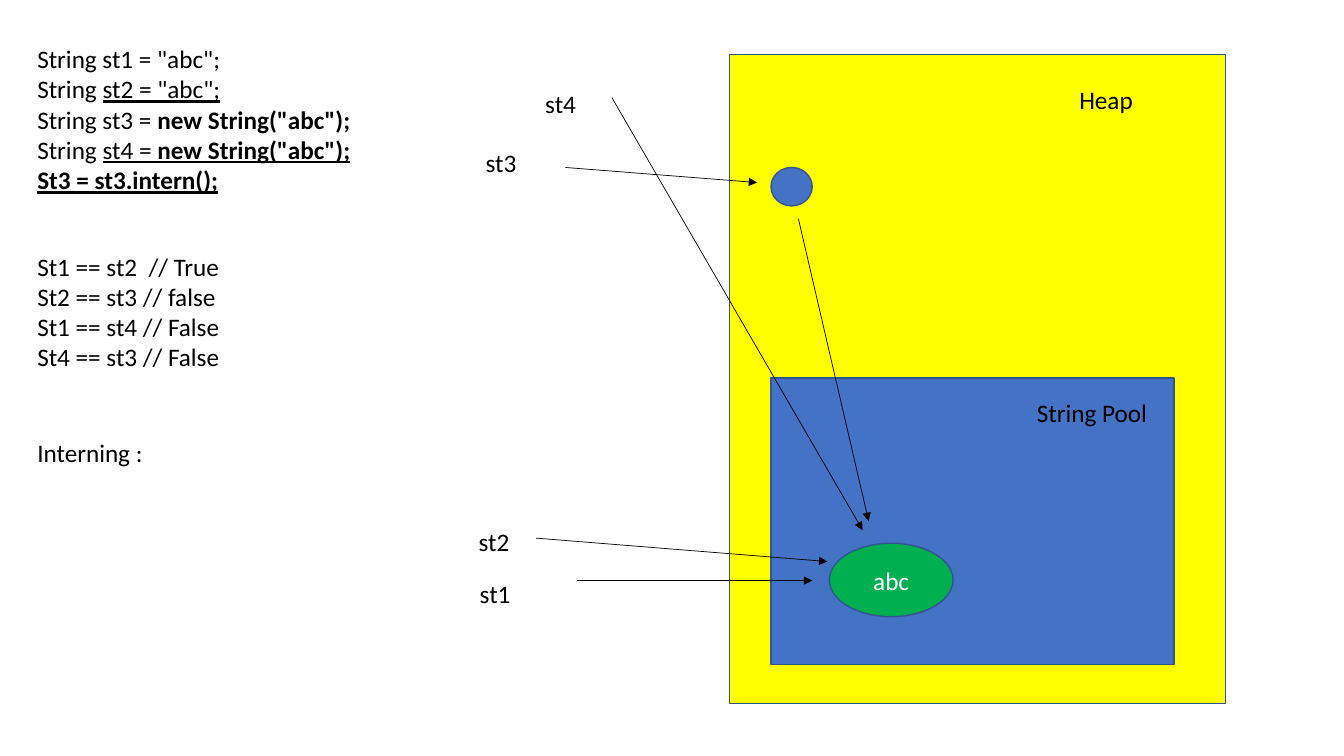
from dataclasses import dataclass
from lxml import etree
from pptx import Presentation
from pptx import util as u
from pptx.dml.color import RGBColor
from pptx.enum import shapes, text
from pptx.oxml.ns import qn


@dataclass(frozen=True)
class Theme:
    font: str = "Calibri"
    size: float = 18
    ink: str = "000000"
    light: str = "FFFFFF"
    outline: str = "325491"
    heap: str = "FFFF00"
    blue: str = "4472C4"
    green: str = "00B050"
    outline_width: float = 1
    arrow_width: float = 0.5


theme = Theme()
RECTANGLE = shapes.MSO_SHAPE.RECTANGLE
OVAL = shapes.MSO_SHAPE.OVAL

regions = [
    (RECTANGLE, (18.39, 1.37, 12.5, 16.36), theme.heap, ""),
    (RECTANGLE, (19.43, 9.53, 10.16, 7.21), theme.blue, ""),
    (OVAL, (20.9, 13.69, 3.12, 1.85), theme.green, "abc"),
    (OVAL, (19.43, 4.22, 1.04, 0.97), theme.blue, ""),
]

declarations = [
    [('String st1 = "abc"; ', "")],
    [("String ", ""), ('st2 = "abc";', "u")],
    [("String st3 = ", ""), ('new String("abc");', "b")],
    [("String ", ""), ("st4 = ", "u"), ('new String("abc");', "bu")],
    [("St3 = st3.intern();", "bu")],
]
comparisons = [
    [("St1 == st2  // True", "")],
    [("St2 == st3 // false", "")],
    [("St1 == st4 // False", "")],
    [("St4 == st3 // False ", "")],
]
text_blocks = [
    ((0.69, 0.97, 8.84, 4.11), declarations),
    ((0.69, 6.2, 9.58, 3.33), comparisons),
    ((0.69, 10.9, 8.84, 1.02), [[("Interning : ", "")]]),
]
labels = [
    ("Heap", 26.95, 2.01, 2.9),
    ("String Pool", 25.88, 9.88, 3.43),
    ("st1", 11.84, 14.45, 1.93),
    ("st2", 11.81, 13.13, 1.93),
    ("st3", 11.99, 3.58, 1.93),
    ("st4", 13.49, 2.11, 1.93),
]
text_blocks += [((left, top, width, 1.02), [[(label, "")]])
                for label, left, top, width in labels]

arrows = [
    (14.55, 14.63, 20.47, 14.63),
    (13.51, 13.56, 20.85, 14.15),
    (14.25, 4.22, 19.08, 4.6),
    (15.42, 2.46, 21.74, 13.36),
    (20.12, 5.51, 21.89, 13.13),
]


def lengths(values):
    return [u.Cm(value) for value in values]


def set_font(paragraph, color):
    paragraph.font.name = theme.font
    paragraph.font.size = u.Pt(theme.size)
    paragraph.font.color.rgb = RGBColor.from_string(color)


def add_region(slide, kind, box, fill, label):
    shape = slide.shapes.add_shape(kind, *lengths(box))
    shape.shadow.inherit = False
    shape.fill.solid()
    shape.fill.fore_color.rgb = RGBColor.from_string(fill)
    shape.line.color.rgb = RGBColor.from_string(theme.outline)
    shape.line.width = u.Pt(theme.outline_width)
    if label:
        frame = shape.text_frame
        frame.text = label
        frame.vertical_anchor = text.MSO_ANCHOR.MIDDLE
        frame.paragraphs[0].alignment = text.PP_ALIGN.CENTER
        set_font(frame.paragraphs[0], theme.light)


def add_text(slide, box, lines):
    frame = slide.shapes.add_textbox(*lengths(box)).text_frame
    frame.word_wrap = True
    frame.auto_size = text.MSO_AUTO_SIZE.SHAPE_TO_FIT_TEXT
    for index, line in enumerate(lines):
        paragraph = frame.add_paragraph() if index else frame.paragraphs[0]
        set_font(paragraph, theme.ink)
        for words, style in line:
            run = paragraph.add_run()
            run.text = words
            if "b" in style:
                run.font.bold = True
            if "u" in style:
                run.font.underline = True


def add_arrow(slide, ends):
    arrow = slide.shapes.add_connector(shapes.MSO_CONNECTOR.STRAIGHT, *lengths(ends))
    arrow.line.color.rgb = RGBColor.from_string(theme.ink)
    arrow.line.width = u.Pt(theme.arrow_width)
    etree.SubElement(arrow.line._get_or_add_ln(), qn("a:tailEnd"), type="triangle")
    etree.SubElement(arrow._element.spPr, qn("a:effectLst"))


presentation = Presentation()
presentation.slide_width, presentation.slide_height = lengths((33.87, 19.05))
blank_layout = presentation.slide_layouts.get_by_name("Blank")
slide = presentation.slides.add_slide(blank_layout)

for region in regions:
    add_region(slide, *region)
for box, lines in text_blocks:
    add_text(slide, box, lines)
for ends in arrows:
    add_arrow(slide, ends)

presentation.save("out.pptx")
